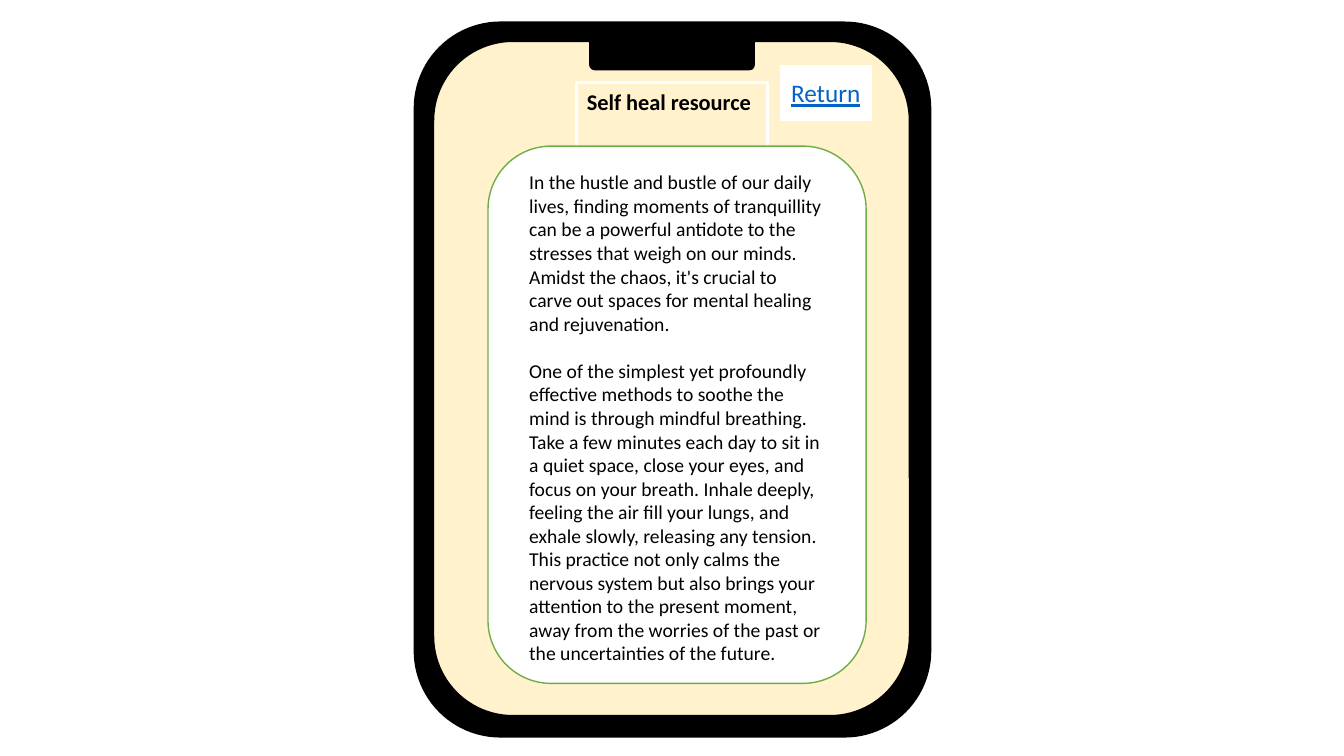
import pptx
import pptx.util
import pptx.dml.color
import pptx.enum.shapes
import pptx.enum.text

PX = 9144  # 100 px to the inch
SHAPE = pptx.enum.shapes.MSO_SHAPE
ALIGN = pptx.enum.text.PP_ALIGN
ANCHOR = pptx.enum.text.MSO_ANCHOR
FIT = pptx.enum.text.MSO_AUTO_SIZE

BLACK, WHITE, CREAM = "000000", "FFFFFF", "FFF2CC"
GREEN, LINK_BLUE = "70AD47", "0563C1"

ADVICE = [
    "In the hustle and bustle of our daily lives, finding moments of "
    "tranquillity can be a powerful antidote to the stresses that weigh on "
    "our minds. Amidst the chaos, it's crucial to carve out spaces for mental "
    "healing and rejuvenation.",
    "One of the simplest yet profoundly effective methods to soothe the mind "
    "is through mindful breathing. Take a few minutes each day to sit in a "
    "quiet space, close your eyes, and focus on your breath. Inhale deeply, "
    "feeling the air fill your lungs, and exhale slowly, releasing any "
    "tension. This practice not only calms the nervous system but also brings "
    "your attention to the present moment, away from the worries of the past "
    "or the uncertainties of the future.",
]


def color(value):
    return pptx.dml.color.RGBColor.from_string(value)


def px(*lengths):
    return [length * PX for length in lengths]


def outline(shape, line, width=1):
    shape.line.color.rgb = color(line)
    shape.line.width = pptx.util.Pt(width)


def add_panel(page, kind, bounds, fill, line):
    shape = page.shapes.add_shape(kind, *px(*bounds))
    shape.shadow.inherit = False
    shape.fill.solid()
    shape.fill.fore_color.rgb = color(fill)
    outline(shape, line)
    return shape


def write(box, texts, size, ink=BLACK, bold=False, underline=False,
          align=ALIGN.LEFT, anchor=ANCHOR.TOP, gap=0, fit=FIT.NONE):
    frame = box.text_frame
    frame.word_wrap = True
    frame.auto_size = fit
    frame.vertical_anchor = anchor
    for index, text in enumerate(texts):
        para = frame.add_paragraph() if index else frame.paragraphs[0]
        para.alignment = align
        para.line_spacing = 1.0
        para.space_before = pptx.util.Pt(gap if index else 0)
        span = para.add_run()
        span.text = text
        span.font.name = "Calibri"
        span.font.size = pptx.util.Pt(size)
        span.font.bold = bold
        span.font.underline = underline
        span.font.color.rgb = color(ink)


def add_phone(page):
    add_panel(page, SHAPE.ROUNDED_RECTANGLE, (411, 22, 512, 709), BLACK, BLACK)
    add_panel(page, SHAPE.ROUNDED_RECTANGLE, (430, 41, 472, 669), CREAM, BLACK)
    notch = add_panel(page, SHAPE.ROUND_2_SAME_RECTANGLE,
                      (585, 41, 163, 28), BLACK, BLACK)
    notch.rotation = 180


def place_title(page, text, bounds):
    title = page.shapes.title
    title.left, title.top, title.width, title.height = px(*bounds)
    outline(title, WHITE, 2.25)
    write(title, [text], 16, bold=True, fit=FIT.SHAPE_TO_FIT_TEXT)
    # Bring the title in front of the phone
    title.element.getparent().append(title.element)


def main():
    deck = pptx.Presentation()
    deck.slide_width, deck.slide_height = px(1333, 750)
    page = deck.slides.add_slide(deck.slide_layouts.get_by_name("Title Only"))

    # Phone and its header
    add_phone(page)
    place_title(page, "Self heal resource", (572, 82, 189, 37))
    button = add_panel(page, SHAPE.ACTION_BUTTON_CUSTOM,
                       (774, 65, 90, 54), WHITE, WHITE)
    write(button, ["Return"], 18, ink=LINK_BLUE, underline=True,
          align=ALIGN.CENTER, anchor=ANCHOR.MIDDLE)

    # Advice card
    add_panel(page, SHAPE.ROUNDED_RECTANGLE, (484, 145, 375, 533), WHITE, GREEN)
    advice = page.shapes.add_textbox(*px(515, 164, 312, 505))
    write(advice, ADVICE, 14, gap=17, fit=FIT.SHAPE_TO_FIT_TEXT)

    deck.save("out.pptx")


if __name__ == "__main__":
    main()
